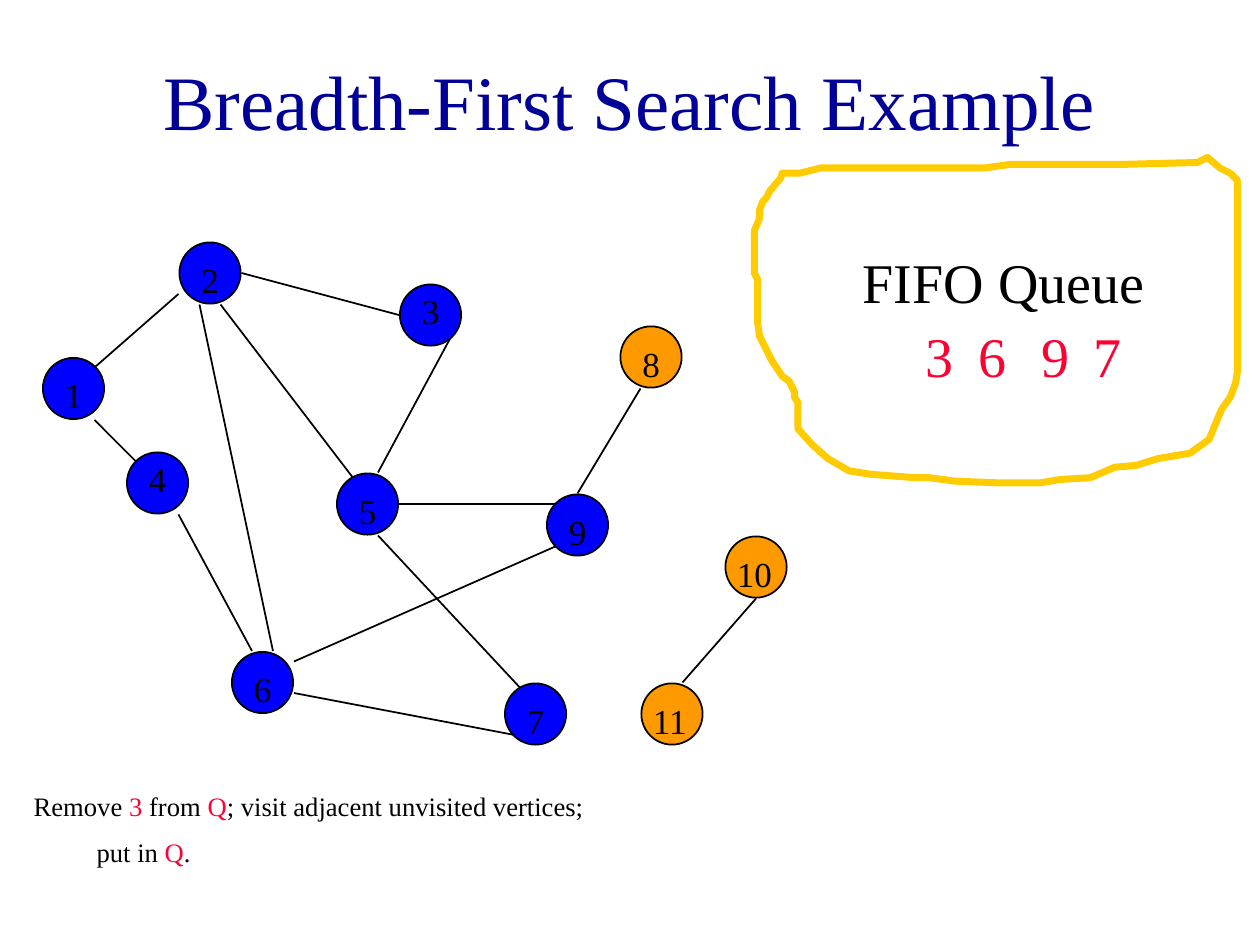
from lxml import etree
from pptx import Presentation
from pptx.dml.color import RGBColor
from pptx.enum import shapes, text
from pptx.oxml import ns
from pptx.util import Pt

NAVY = RGBColor(0x00, 0x00, 0x99)
BLACK = RGBColor(0x00, 0x00, 0x00)
RED = RGBColor(0xFF, 0x00, 0x33)
BLUE = RGBColor(0x00, 0x00, 0xFF)
ORANGE = RGBColor(0xFF, 0x99, 0x00)
GOLD = RGBColor(0xFF, 0xCC, 0x00)
FONT = "Times New Roman"

GRID = 6
NODE_SIZE = 35
VERTICES = {
    1: (0, 11), 2: (13, 0), 3: (34, 4), 4: (8, 20), 5: (28, 22), 6: (18, 39),
    7: (44, 42), 8: (55, 8), 9: (48, 24), 10: (65, 28), 11: (57, 42),
}
UNVISITED = {8, 10, 11}
RAISED_LABELS = {3, 4}
EDGES = [
    (13, 5, 5, 12), (17, 6, 30, 23), (5, 17, 9, 21), (13, 26, 20, 39),
    (24, 43, 45, 47), (39, 9, 32, 22), (32, 28, 46, 43), (57, 14, 51, 24),
    (61, 42, 68, 34), (34, 25, 49, 25), (19, 3, 34, 7), (15, 6, 22, 39),
    (24, 40, 49, 29),
]
QUEUE = [("3", 91), ("6", 121), ("9", 157), ("7", 187)]
OUTLINE = [
    (259, 0), (253, 3), (249, 3), (209, 4), (146, 4), (132, 6), (106, 6),
    (95, 6), (38, 6), (26, 9), (16, 9), (15, 12), (9, 19), (7, 23), (5, 25),
    (3, 30), (3, 35), (0, 42), (0, 66), (2, 70), (2, 95), (3, 102), (6, 108),
    (10, 116), (16, 125), (20, 128), (23, 134), (23, 137), (25, 140),
    (25, 155), (33, 164), (42, 172), (54, 179), (66, 181), (92, 183),
    (100, 183), (115, 185), (141, 186), (163, 186), (175, 184), (192, 183),
    (206, 177), (218, 176), (231, 172), (249, 169), (260, 161), (262, 156),
    (267, 144), (272, 137), (275, 129), (276, 123), (276, 13), (272, 9),
    (266, 6),
]


def apply(target, values):
    """Set each named attribute on the target."""
    for name, value in values.items():
        setattr(target, name, value)


def place(box, left, top, width, height):
    """Move and size a box, in points."""
    apply(box, {"left": Pt(left), "top": Pt(top),
                "width": Pt(width), "height": Pt(height)})


def add_span(para, words, size, color):
    """Add a run of formatted words to a paragraph."""
    span = para.add_run()
    span.text = words
    apply(span.font, {"size": Pt(size), "name": FONT})
    span.font.color.rgb = color


def add_label(holder, words, size, color, *bounds):
    """Add a one-line text box."""
    box = holder.add_textbox(*map(Pt, bounds))
    box.text_frame.word_wrap = True
    add_span(box.text_frame.paragraphs[0], words, size, color)


def add_title(page, words, *bounds):
    """Fill the title placeholder."""
    box = page.shapes.title
    place(box, *bounds)
    apply(box.text_frame, {"vertical_anchor": text.MSO_ANCHOR.MIDDLE,
                           "auto_size": text.MSO_AUTO_SIZE.NONE})
    para = box.text_frame.paragraphs[0]
    para.alignment = text.PP_ALIGN.CENTER
    add_span(para, words, 44, NAVY)


def add_step(page, lines, *bounds):
    """Fill the body placeholder with lines of (spans, margin, indent)."""
    box = page.placeholders[1]
    place(box, *bounds)
    frame = box.text_frame
    frame.auto_size = text.MSO_AUTO_SIZE.NONE
    for level, (spans, margin, indent) in enumerate(lines):
        para = frame.add_paragraph() if level else frame.paragraphs[0]
        apply(para, {"level": level, "space_before": Pt(8)})
        props = para._p.get_or_add_pPr()
        props.set("marL", str(Pt(margin)))
        props.set("indent", str(Pt(indent)))
        etree.SubElement(props, ns.qn("a:buNone"))
        for words, color in spans:
            add_span(para, words, 15.2, color)


def add_edge(page, *ends):
    """Draw a thin black line between two points."""
    edge = page.shapes.add_connector(shapes.MSO_CONNECTOR.STRAIGHT, *map(Pt, ends))
    edge.line.width = Pt(1)
    edge.line.color.rgb = BLACK
    etree.SubElement(edge._element.spPr, ns.qn("a:effectLst"))


def add_vertex(page, number, left, top):
    """Draw a numbered vertex, grouped with its label once visited."""
    visited = number not in UNVISITED
    holder = page.shapes.add_group_shape().shapes if visited else page.shapes
    circle = holder.add_shape(shapes.MSO_SHAPE.OVAL, Pt(left + 0.5), Pt(top + 0.5),
                              Pt(NODE_SIZE), Pt(NODE_SIZE))
    circle.shadow.inherit = False
    circle.fill.solid()
    circle.fill.fore_color.rgb = BLUE if visited else ORANGE
    circle.line.color.rgb = BLACK
    circle.line.width = Pt(1)
    shift, width = (6, 18) if number < 10 else (0, 36)
    drop = 0 if number in RAISED_LABELS else 6
    add_label(holder, str(number), 20, BLACK, left + shift, top + drop, width, 31)


def add_graph(page, left, top):
    """Draw the edges and then the vertices on a grid."""
    for x1, y1, x2, y2 in EDGES:
        add_edge(page, left + x1 * GRID, top + y1 * GRID,
                 left + x2 * GRID, top + y2 * GRID)
    for number, (column, row) in VERTICES.items():
        add_vertex(page, number, left + column * GRID, top + row * GRID)


def add_queue(page, left, top):
    """Draw the hand-drawn frame with the queue and its contents."""
    add_label(page.shapes, "FIFO Queue", 32, BLACK, left + 55, top + 48, 222, 104)
    points = [(Pt(left + x), Pt(top + y)) for x, y in OUTLINE]
    builder = page.shapes.build_freeform(*points[0])
    builder.add_line_segments(points[1:], close=True)
    outline = builder.convert_to_shape()
    outline.shadow.inherit = False
    outline.fill.background()
    outline.line.color.rgb = GOLD
    outline.line.width = Pt(4)
    for number, offset in QUEUE:
        add_label(page.shapes, number, 32, RED, left + offset, top + 90, 30, 45)


def main():
    """Build and save the slide."""
    deck = Presentation()
    apply(deck, {"slide_width": Pt(720), "slide_height": Pt(540)})
    page = deck.slides.add_slide(deck.slide_layouts[1])
    add_title(page, "Breadth-First Search Example", 54, 12, 612, 90)
    add_step(page, [
        ([("Remove ", BLACK), ("3", RED), (" from ", BLACK), ("Q", RED),
          ("; visit adjacent unvisited vertices;", BLACK)], 27, -27),
        ([("put in ", BLACK), ("Q", RED), (".", BLACK)], 58.5, -22.5),
    ], 12, 448, 708, 56)
    add_graph(page, 24, 138)
    add_queue(page, 431, 90)
    deck.save("out.pptx")


if __name__ == "__main__":
    main()
